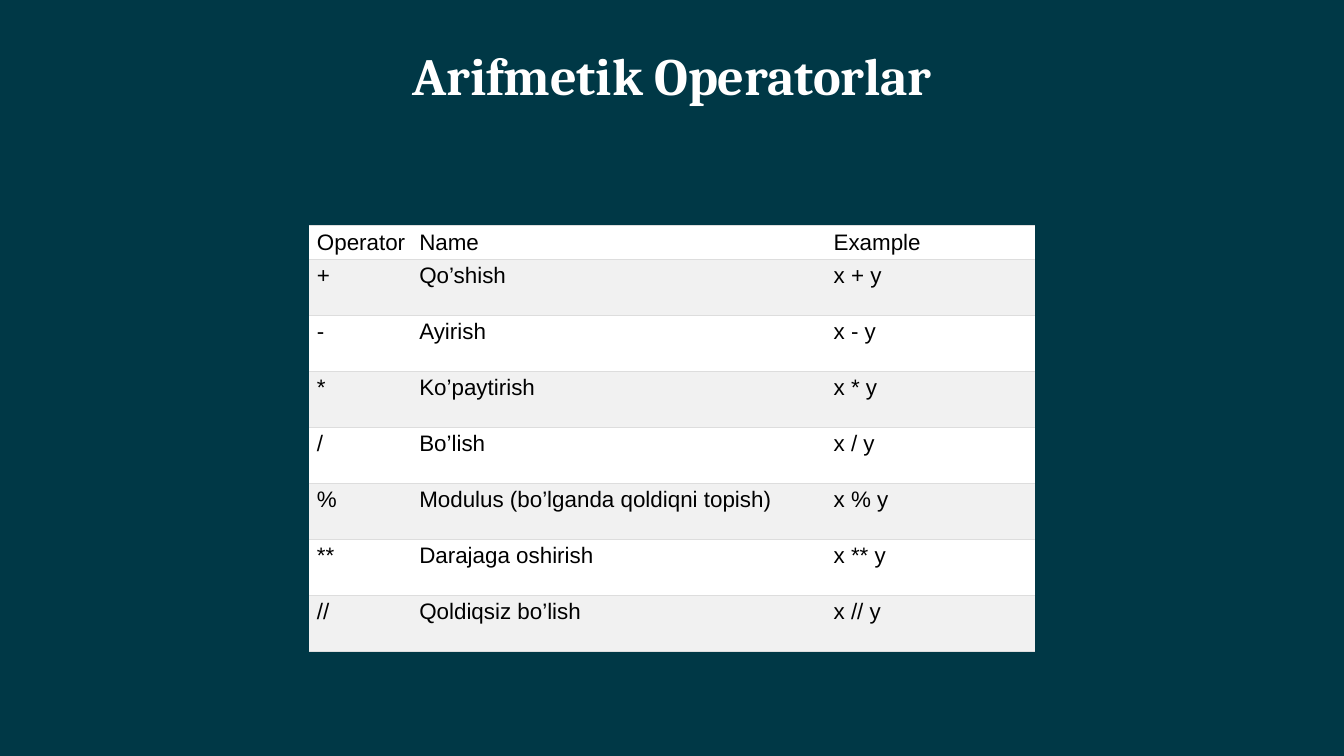
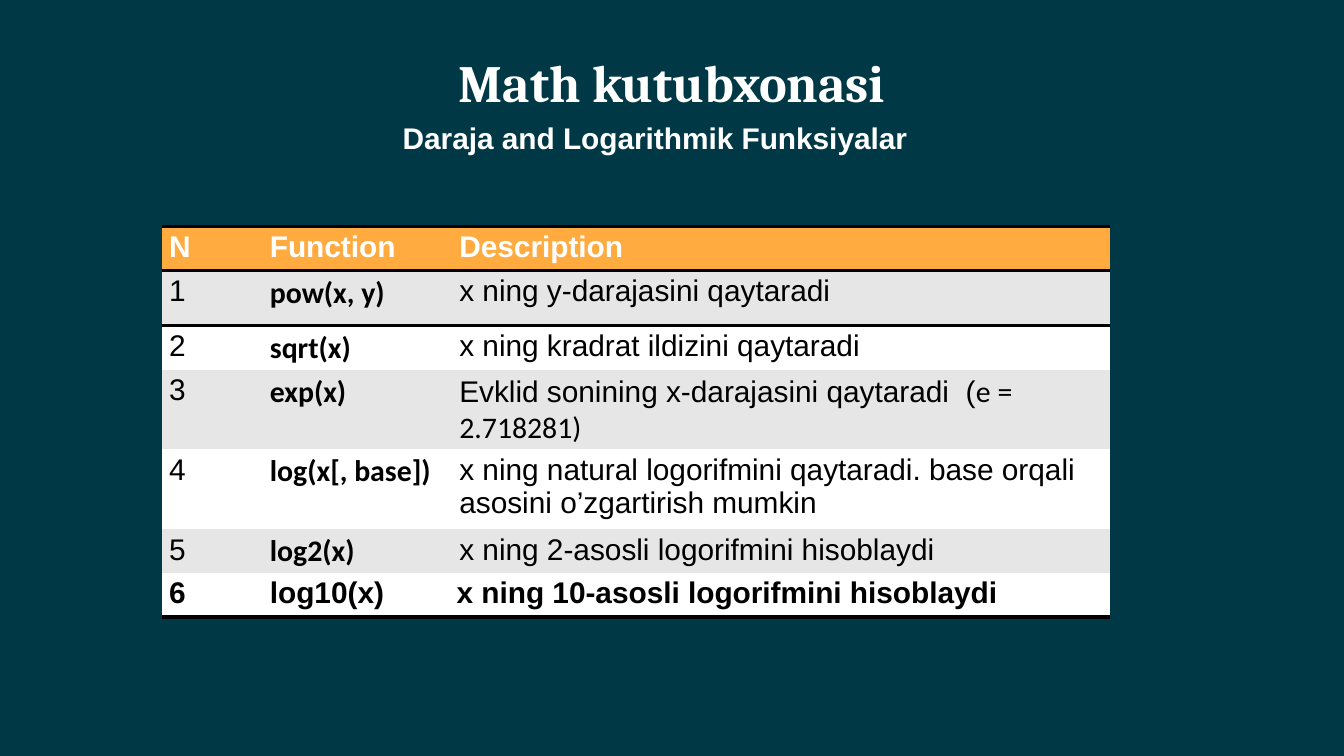
from lxml import etree
from pptx import Presentation
from pptx.dml.color import RGBColor
from pptx.enum import shapes, text
from pptx.oxml import ns
from pptx.util import Pt

WIDTH, HEIGHT = 720, 405
TEAL, WHITE, BLACK = "003846", "FFFFFF", "000000"
AMBER, RULE, PALE, GREY = "FFAB40", "DDDDDD", "F1F1F1", "E6E6E6"
PLAIN_TABLE = "{2D5ABB26-0587-4C30-8999-92F81FD0307C}"

TITLE = dict(name="Cambria", size=Pt(28), bold=True, color=WHITE)
SUBTITLE = dict(name="Arial", size=Pt(16), bold=True, color=WHITE)
SMALL = dict(name="Arial", size=Pt(12), bold=False, color=BLACK)
BODY = dict(SMALL, size=Pt(16))
STRONG = dict(BODY, bold=True)
LIGHT = dict(BODY, name="Calibri")
CODE = dict(STRONG, name="Calibri")


def rgb(value):
    return RGBColor.from_string(value)


class Deck:
    def __init__(self):
        self.file = Presentation()
        self.file.slide_width, self.file.slide_height = Pt(WIDTH), Pt(HEIGHT)
        self.page = None

    def new_page(self):
        self.page = self.file.slides.add_slide(self.file.slide_layouts[6])

    def background(self, color):
        fill = self.page.background.fill
        fill.solid()
        fill.fore_color.rgb = rgb(color)

    def panel(self, left, top, width, height, color):
        box = self.page.shapes.add_shape(
            shapes.MSO_SHAPE.RECTANGLE, Pt(left), Pt(top), Pt(width), Pt(height))
        box.shadow.inherit = False
        box.fill.solid()
        box.fill.fore_color.rgb = rgb(color)
        box.line.fill.background()

    def add_span(self, para, content, style):
        span = para.add_run()
        span.text = content
        for key, value in style.items():
            if key == "color":
                span.font.color.rgb = rgb(value)
            else:
                setattr(span.font, key, value)

    def heading(self, left, top, width, height, content, style=TITLE):
        box = self.page.shapes.add_textbox(Pt(left), Pt(top), Pt(width), Pt(height))
        frame = box.text_frame
        layout = dict(word_wrap=True, margin_left=Pt(3.6), margin_right=Pt(3.6),
                      margin_top=Pt(1.8), margin_bottom=Pt(1.8))
        for key, value in layout.items():
            setattr(frame, key, value)
        para = frame.paragraphs[0]
        para.alignment = text.PP_ALIGN.CENTER
        self.add_span(para, content, style)

    def table(self, left, top, widths, heights):
        frame = self.page.shapes.add_table(
            len(heights), len(widths), Pt(left), Pt(top), Pt(sum(widths)), Pt(sum(heights)))
        table = frame.table
        table.first_row = table.horz_banding = False
        table._tbl.tblPr.find(ns.qn("a:tableStyleId")).text = PLAIN_TABLE
        for column, width in zip(table.columns, widths):
            column.width = Pt(width)
        for row, height in zip(table.rows, heights):
            row.height = Pt(height)
        return table

    def cell(self, cell, spans, fill, left, right, edges):
        """spans: (text, style) pairs; edges: {"T" or "B": (color, width)}."""
        margins = dict(margin_left=left, margin_right=right,
                       margin_top=2.16, margin_bottom=2.16)
        for key, value in margins.items():
            setattr(cell, key, Pt(value))
        cell.fill.solid()
        cell.fill.fore_color.rgb = rgb(fill)
        for content, style in spans:
            self.add_span(cell.text_frame.paragraphs[0], content, style)
        # Border lines come before the fill, in top, bottom order
        properties = cell._tc.get_or_add_tcPr()
        for position, (side, (color, width)) in enumerate(edges.items()):
            line = etree.Element(ns.qn("a:ln" + side), w=str(Pt(width)))
            solid = etree.SubElement(line, ns.qn("a:solidFill"))
            etree.SubElement(solid, ns.qn("a:srgbClr"), val=color)
            properties.insert(position, line)


def arithmetic_page(deck):
    deck.new_page()
    deck.panel(0, 0, WIDTH, HEIGHT, TEAL)

    # Operator table
    rows = [
        ("Operator", "Name", "Example"),
        ("+", "Qo’shish", "x + y"),
        ("-", "Ayirish", "x - y"),
        ("*", "Ko’paytirish", "x * y"),
        ("/", "Bo’lish", "x / y"),
        ("%", "Modulus (bo’lganda qoldiqni topish)", "x % y"),
        ("**", "Darajaga oshirish", "x ** y"),
        ("//", "Qoldiqsiz bo’lish", "x // y"),
    ]
    table = deck.table(165.5, 121, [57, 222, 110], [18] + [30] * 7)
    edges = {"T": (RULE, 0.75), "B": (RULE, 0.75)}
    for r, row in enumerate(rows):
        for c, content in enumerate(row):
            deck.cell(table.cell(r, c), [(content, SMALL)], PALE if r % 2 else WHITE,
                      2.16 if c else 4.32, 2.16, edges)

    deck.heading(202.5, 21.6, 315, 37.5, "Arifmetik Operatorlar")


def math_page(deck):
    deck.new_page()
    deck.background(TEAL)

    # Function table
    functions = [
        ("pow(x, y)", "x ning y-darajasini qaytaradi"),
        ("sqrt(x)", "x ning kradrat ildizini qaytaradi"),
        ("exp(x)", "Evklid sonining x-darajasini qaytaradi  ("),
        ("log(x[, base])", "x ning natural logorifmini qaytaradi. "
                           "base orqali asosini o’zgartirish mumkin"),
        ("log2(x)", "x ning 2-asosli logorifmini hisoblaydi"),
        ("log10(x)", "x ning 10-asosli logorifmini hisoblaydi"),
    ]
    rows = [[[(label, SUBTITLE)] for label in ("N", "Function", "Description")]]
    for number, (name, meaning) in enumerate(functions, 1):
        rows.append([[(str(number), BODY)], [(name, CODE)], [(meaning, BODY)]])
    rows[3][2].append(("e = 2.718281)", LIGHT))
    rows[-1] = [[(content, STRONG)] for [(content, _)] in rows[-1]]

    table = deck.table(87, 121.5, [54, 101.5, 352], [14.4, 29.5] + [14.4] * 5)
    heavy, last = (BLACK, 2), len(rows) - 1
    borders = {0: {"T": heavy, "B": heavy}, 1: {"T": heavy}, last: {"B": heavy}}
    for r, row in enumerate(rows):
        fill = AMBER if r == 0 else GREY if r % 2 else WHITE
        for c, spans in enumerate(row):
            margin = 2.16 if (r, c) == (last, 2) else 3.6
            deck.cell(table.cell(r, c), spans, fill, margin, margin, borders.get(r, {}))

    deck.heading(192, 62.5, 318, 23, "Daraja and Logarithmik Funksiyalar", SUBTITLE)
    deck.heading(234, 25, 252, 37.5, "Math kutubxonasi")


def main():
    deck = Deck()
    arithmetic_page(deck)
    math_page(deck)
    deck.file.save("out.pptx")


if __name__ == "__main__":
    main()
